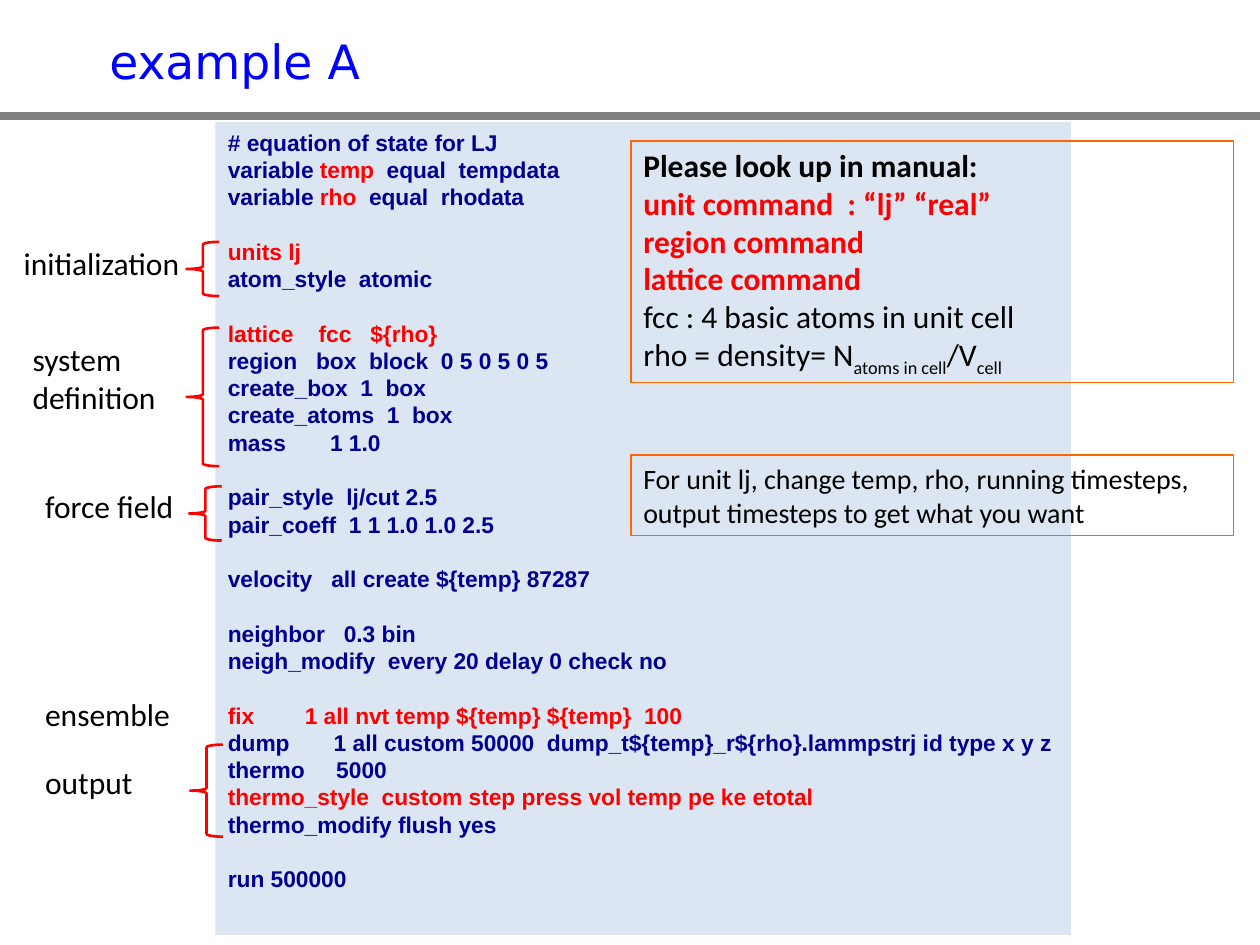
import pptx
import pptx.util
import pptx.dml.color
import pptx.enum.shapes
import pptx.enum.text
import lxml.etree

Pt = pptx.util.Pt
SHAPES = pptx.enum.shapes.MSO_SHAPE
ANCHORS = pptx.enum.text.MSO_ANCHOR

COLORS = {"panel": "DCE6F2", "code": "000090", "key": "FF0000", "rule": "808080",
          "title": "0000FF", "text": "000000", "frame": "FF6600"}

CODE_GROUPS = [
    [[("# equation of state for LJ", "code")],
     [("variable ", "code"), ("temp ", "key"), (" equal  tempdata", "code")],
     [("variable", "code"), (" rho  ", "key"), ("equal  rhodata", "code")]],
    [[("units lj", "key")],
     [("atom_style  atomic", "code")]],
    [[("lattice    fcc   ${rho}", "key")],
     [("region   box  block  0 5 0 5 0 5", "code")],
     [("create_box  1  box", "code")],
     [("create_atoms  1  box", "code")],
     [("mass       1 1.0", "code")]],
    [[("pair_style  lj/cut 2.5", "code")],
     [("pair_coeff  1 1 1.0 1.0 2.5", "code")]],
    [[("velocity   all create ${temp} 87287", "code")]],
    [[("neighbor   0.3 bin", "code")],
     [("neigh_modify  every 20 delay 0 check no", "code")]],
    [[("fix        1 all nvt temp ${temp} ${temp}  100", "key")],
     [("dump       1 all custom 50000  dump_t${temp}_r${rho}.lammpstrj id type x y z", "code")],
     [("thermo     5000", "code")],
     [("thermo_style  custom step press vol temp pe ke etotal", "key")],
     [("thermo_modify flush yes", "code")]],
    [[("run 500000", "code")]],
]
CODE_PITCH = 15.6

MANUAL_NOTE = [
    [("Please look up in manual:", "text", True)],
    [("unit command  : “lj” “real”", "key", True)],
    [("region command", "key", True)],
    [("lattice command", "key", True)],
    [("fcc : 4 basic atoms in unit cell", "text")],
    [("rho = density= N", "text"), ("atoms in cell", "text", False, -25),
     ("/V", "text"), ("cell", "text", False, -25)],
]
UNIT_NOTE = [[("For unit lj, change temp, rho, running timesteps, "
               "output timesteps to get what you want", "text")]]
NOTES = [(MANUAL_NOTE, 18, 80.6, 138.2), (UNIT_NOTE, 16, 260, 46.1)]

LABELS = [
    ("initialization", 6.5, 136.1, 105),
    ("system definition", 11.5, 190.8, 99.4),
    ("force field", 18.7, 275, 129.6),
    ("ensemble", 18.7, 393.8, 129.6),
    ("output", 18.7, 432.7, 101.5),
]
BRACES = [(106.6, 138.2, 31), (106.6, 187.2, 79.2), (108, 277.9, 31), (108.7, 425.5, 52.6)]


def rgb(name):
    return pptx.dml.color.RGBColor.from_string(COLORS[name])


def write_line(paragraph, parts, size, font_name):
    paragraph.alignment = pptx.enum.text.PP_ALIGN.LEFT
    for words, color, *style in parts:
        bold, baseline = (style + [False, 0][len(style):])
        run = paragraph.add_run()
        run.text = words
        run.font.size = Pt(size)
        run.font.name = font_name
        run.font.bold = bold
        run.font.color.rgb = rgb(color)
        if baseline:
            run._r.get_or_add_rPr().set("baseline", str(baseline * 1000))


def write_lines(frame, lines, size, font_name, anchor=ANCHORS.TOP):
    frame.word_wrap = True
    frame.vertical_anchor = anchor
    for index, parts in enumerate(lines):
        paragraph = frame.add_paragraph() if index else frame.paragraphs[0]
        write_line(paragraph, parts, size, font_name)


def add_shape(slide, kind, box, fill=None, line=None, width=0.75):
    shape = slide.shapes.add_shape(kind, *map(Pt, box))
    shape.shadow.inherit = False
    if fill:
        shape.fill.solid()
        shape.fill.fore_color.rgb = rgb(fill)
    else:
        shape.fill.background()
    if line:
        shape.line.color.rgb = rgb(line)
        shape.line.width = Pt(width)
    else:
        shape.line.fill.background()
    return shape


def add_text(slide, words, box, size, font_name, color):
    frame = slide.shapes.add_textbox(*map(Pt, box)).text_frame
    write_lines(frame, [[(words, color)]], size, font_name)


def add_code(slide):
    panel = add_shape(slide, SHAPES.RECTANGLE, (123.1, 69.8, 488.9, 464.4), fill="panel")
    lines = [[(words, color, True) for words, color in line]
             for group in CODE_GROUPS for line in group]
    write_lines(panel.text_frame, lines, 13, "Arial")
    paragraphs = panel.text_frame.paragraphs
    for paragraph in paragraphs:
        paragraph.line_spacing = Pt(CODE_PITCH)
    start = 0
    for group in CODE_GROUPS[:-1]:
        start += len(group)
        paragraphs[start].space_before = Pt(CODE_PITCH)


def add_rule(slide):
    rule = slide.shapes.add_connector(
        pptx.enum.shapes.MSO_CONNECTOR.STRAIGHT, Pt(0), Pt(66.2), Pt(720), Pt(66.2))
    rule.line.color.rgb = rgb("rule")
    rule.line.width = Pt(4.5)
    lxml.etree.SubElement(rule._element.spPr, pptx.oxml.ns.qn("a:effectLst"))


def main():
    deck = pptx.Presentation()
    deck.slide_width, deck.slide_height = Pt(720), Pt(540)
    slide = deck.slides.add_slide(deck.slide_layouts[6])

    add_code(slide)
    add_rule(slide)
    add_text(slide, "example A", (55.4, 15.1, 521.3, 40.3), 27, "DejaVu Sans", "title")
    for words, left, top, width in LABELS:
        height = 28.8 if " d" not in words else 51.1
        add_text(slide, words, (left, top, width, height), 18, "Calibri", "text")
    for left, top, height in BRACES:
        brace = add_shape(slide, SHAPES.RIGHT_BRACE, (left, top, 18.7, height),
                          line="key", width=1.5)
        brace.rotation = 180
    for lines, size, top, height in NOTES:
        note = add_shape(slide, SHAPES.RECTANGLE, (360.5, top, 344.2, height), line="frame")
        write_lines(note.text_frame, lines, size, "Calibri", ANCHORS.MIDDLE)

    deck.save("out.pptx")


if __name__ == "__main__":
    main()
